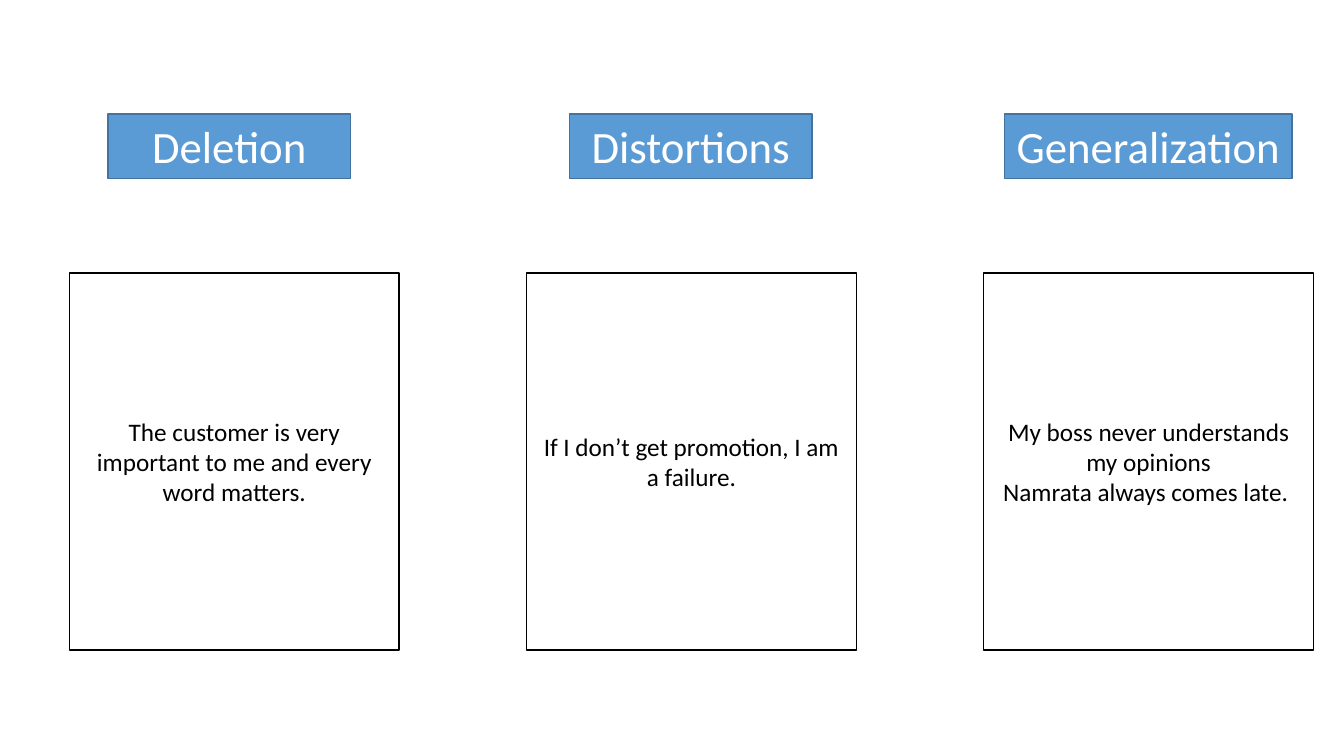
from pptx import Presentation
from pptx.dml.color import RGBColor
from pptx.enum.shapes import MSO_SHAPE
from pptx.enum.text import MSO_ANCHOR, MSO_AUTO_SIZE, PP_ALIGN
from pptx.util import Cm, Pt

BLUE = RGBColor(0x5B, 0x9B, 0xD5)
DARK_BLUE = RGBColor(0x43, 0x73, 0x9E)
WHITE = RGBColor(0xFF, 0xFF, 0xFF)
BLACK = RGBColor(0x00, 0x00, 0x00)

CARD_LEFT, CARD_PITCH = 1.75, 11.52
PATTERNS = [
    ("Deletion", 2.72, 6.12,
     ["The customer is very important to me and every word matters."]),
    ("Distortions", 14.35, 6.12,
     ["If I don’t get promotion, I am a failure."]),
    ("Generalization", 25.32, 7.24,
     ["My boss never understands my opinions", "Namrata always comes late. "]),
]


class PatternSlide:
    heading_font = {"name": "Calibri", "size": Pt(32)}
    example_font = {"name": "Calibri", "size": Pt(18)}
    heading_frame = {"word_wrap": True, "vertical_anchor": MSO_ANCHOR.TOP,
                     "auto_size": MSO_AUTO_SIZE.SHAPE_TO_FIT_TEXT}
    example_frame = {"word_wrap": True, "vertical_anchor": MSO_ANCHOR.MIDDLE}

    def __init__(self, deck):
        self.slide = deck.slides.add_slide(deck.slide_layouts[6])

    def box(self, left, top, width, height, fill, outline):
        box = self.slide.shapes.add_shape(
            MSO_SHAPE.RECTANGLE, Cm(left), Cm(top), Cm(width), Cm(height))
        box.shadow.inherit = False
        box.fill.solid()
        box.fill.fore_color.rgb = fill
        box.line.color.rgb = outline
        box.line.width = Pt(1)
        return box

    def add_sentences(self, box, sentences, frame_format, font_format, color):
        frame = box.text_frame
        frame.text = "\n".join(sentences)
        for attribute, value in frame_format.items():
            setattr(frame, attribute, value)
        for paragraph in frame.paragraphs:
            paragraph.alignment = PP_ALIGN.CENTER
            font = paragraph.runs[0].font
            for attribute, value in font_format.items():
                setattr(font, attribute, value)
            font.color.rgb = color

    def heading(self, title, left, width):
        box = self.box(left, 2.87, width, 1.63, BLUE, DARK_BLUE)
        self.add_sentences(box, [title], self.heading_frame, self.heading_font, WHITE)

    def example(self, sentences, left):
        box = self.box(left, 6.88, 8.31, 9.5, WHITE, BLACK)
        self.add_sentences(box, sentences, self.example_frame, self.example_font, BLACK)


def main():
    deck = Presentation()
    deck.slide_width, deck.slide_height = Cm(33.87), Cm(19.05)
    patterns = PatternSlide(deck)
    for title, left, width, _ in PATTERNS:
        patterns.heading(title, left, width)
    for column, (*_, sentences) in enumerate(PATTERNS):
        patterns.example(sentences, CARD_LEFT + column * CARD_PITCH)
    deck.save("out.pptx")


if __name__ == "__main__":
    main()
